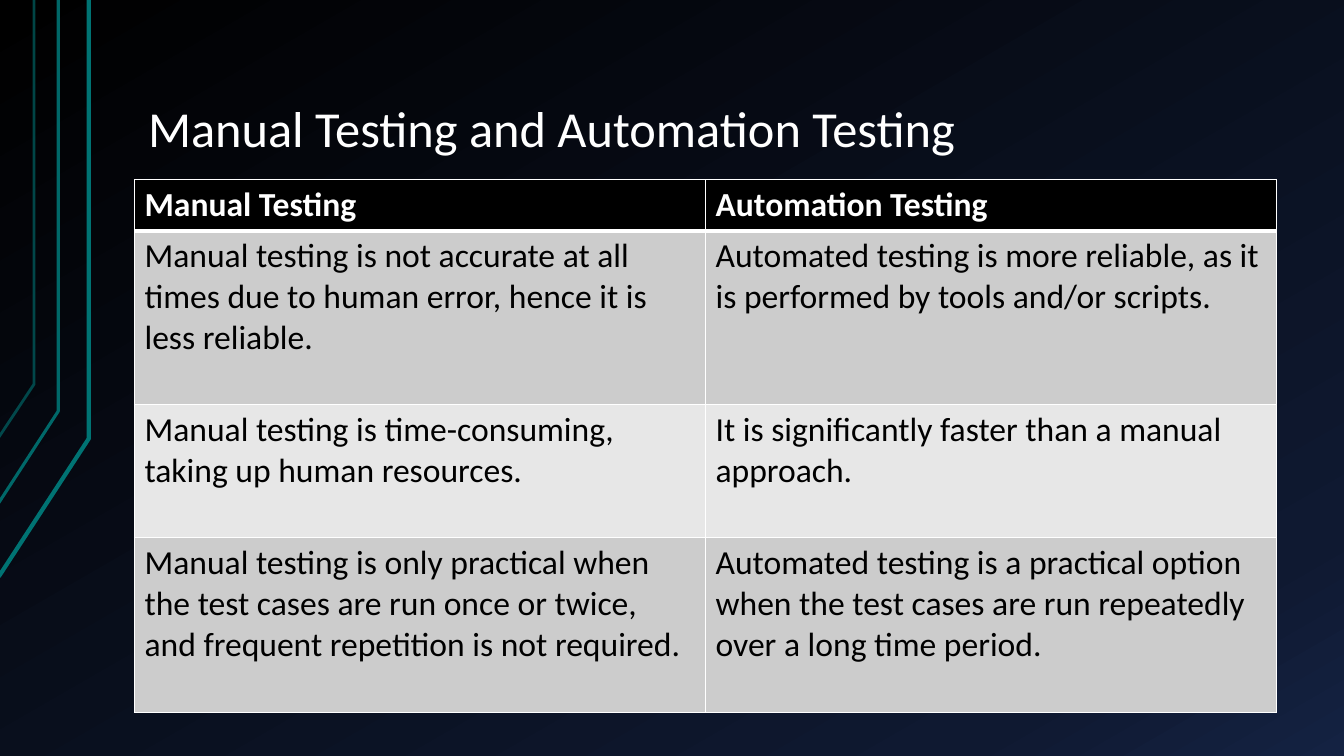
import copy
from dataclasses import dataclass

import lxml.etree
import pptx
import pptx.dml.color
import pptx.enum.text
import pptx.oxml.ns
import pptx.util

Cm, Pt = pptx.util.Cm, pptx.util.Pt
qn = pptx.oxml.ns.qn


def rgb(value):
    return pptx.dml.color.RGBColor.from_string(value)


@dataclass(frozen=True)
class Theme:
    font: str = "Calibri"
    title_size: int = 36
    table_size: int = 24
    light: str = "FFFFFF"
    dark: str = "000000"
    accent: str = "007373"
    bands: tuple = ("CCCCCC", "E7E7E7")
    backdrop: tuple = ((0, "000000"), (0.85, "0F1931"), (1, "142242"))


class SlideBuilder:
    def __init__(self, slide, theme):
        self.slide = slide
        self.theme = theme

    def background(self):
        fill = self.slide.background.fill
        fill.gradient()
        fill.gradient_angle = 300
        stop_list = self.slide.element.xpath(".//a:gsLst")[0]
        stop_list.append(copy.deepcopy(stop_list[0]))
        for stop, (position, color) in zip(fill.gradient_stops, self.theme.backdrop):
            stop.position = position
            stop.color.rgb = rgb(color)

    def bent_line(self, x, bend_y, end_y, width, opacity):
        builder = self.slide.shapes.build_freeform(Cm(-0.03), Cm(end_y))
        builder.add_line_segments([(Cm(x), Cm(bend_y)), (Cm(x), 0)], close=False)
        line = builder.convert_to_shape()
        line.shadow.inherit = False
        line.fill.background()
        line.line.color.rgb = rgb(self.theme.accent)
        line.line.width = Pt(width)
        color = line.element.spPr.find(".//" + qn("a:srgbClr"))
        lxml.etree.SubElement(color, qn("a:alpha"), val=str(opacity * 1000))

    def add_text(self, frame, text, size, color, bold=False):
        paragraph = frame.paragraphs[0]
        paragraph.alignment = pptx.enum.text.PP_ALIGN.LEFT
        run = paragraph.add_run()
        run.text = text
        run.font.name = self.theme.font
        run.font.size = Pt(size)
        run.font.bold = bold
        run.font.color.rgb = rgb(color)
        return paragraph

    def title(self, text, left, top, width, height):
        heading = self.slide.shapes.title
        heading.left, heading.top = Cm(left), Cm(top)
        heading.width, heading.height = Cm(width), Cm(height)
        frame = heading.text_frame
        frame.word_wrap = True
        frame.auto_size = pptx.enum.text.MSO_AUTO_SIZE.NONE
        frame.vertical_anchor = pptx.enum.text.MSO_ANCHOR.BOTTOM
        frame.margin_left = frame.margin_right = Cm(0.34)
        frame.margin_top = frame.margin_bottom = Cm(0.17)
        paragraph = self.add_text(frame, text, self.theme.title_size, self.theme.light)
        paragraph.line_spacing = 0.9

    def cell_borders(self, cell, widths):
        properties = cell._tc.get_or_add_tcPr()
        for index, (side, width) in enumerate(widths.items()):
            border = lxml.etree.Element(qn("a:ln" + side), w=str(Pt(width)))
            solid = lxml.etree.SubElement(border, qn("a:solidFill"))
            lxml.etree.SubElement(solid, qn("a:srgbClr"), val=self.theme.light)
            properties.insert(index, border)

    def table(self, rows, left, top, width, heights):
        columns = len(rows[0])
        table = self.slide.shapes.add_table(
            len(rows), columns, Cm(left), Cm(top), Cm(width), Cm(sum(heights))
        ).table
        for column in table.columns:
            column.width = Cm(width / columns)
        for r, (texts, height) in enumerate(zip(rows, heights)):
            table.rows[r].height = Cm(height)
            header = r == 0
            fill = self.theme.dark if header else self.theme.bands[(r - 1) % 2]
            color = self.theme.light if header else self.theme.dark
            for c, text in enumerate(texts):
                cell = table.cell(r, c)
                cell.fill.solid()
                cell.fill.fore_color.rgb = rgb(fill)
                self.add_text(cell.text_frame, text, self.theme.table_size, color, header)
                self.cell_borders(cell, {"L": 1, "R": 1, "T": 3 if r == 1 else 1,
                                         "B": 3 if header else 1})


def main():
    presentation = pptx.Presentation()
    presentation.slide_width, presentation.slide_height = Cm(33.87), Cm(19.05)
    slide = presentation.slides.add_slide(presentation.slide_layouts[5])
    builder = SlideBuilder(slide, Theme())

    # Backdrop with bent accent lines
    builder.background()
    for x, bend_y, end_y, width, opacity in (
        (2.24, 11.05, 14.53, 3, 100),
        (1.47, 10.36, 12.67, 2.25, 90),
        (0.86, 9.68, 11.02, 2, 60),
    ):
        builder.bent_line(x, bend_y, end_y, width, opacity)

    # Heading
    builder.title("Manual Testing and Automation Testing", 3.39, 0.76, 28.78, 3.4)

    # Comparison
    comparison = [
        ("Manual Testing", "Automation Testing"),
        ("Manual testing is not accurate at all times due to human error, "
         "hence it is less reliable.",
         "Automated testing is more reliable, as it is performed by tools and/or scripts."),
        ("Manual testing is time-consuming, taking up human resources.",
         "It is significantly faster than a manual approach."),
        ("Manual testing is only practical when the test cases are run once or twice, "
         "and frequent repetition is not required.",
         "Automated testing is a practical option when the test cases are run repeatedly "
         "over a long time period."),
    ]
    builder.table(comparison, 3.39, 4.53, 28.78, (1.29, 4.38, 3.35, 4.4))

    presentation.save("out.pptx")


if __name__ == "__main__":
    main()
